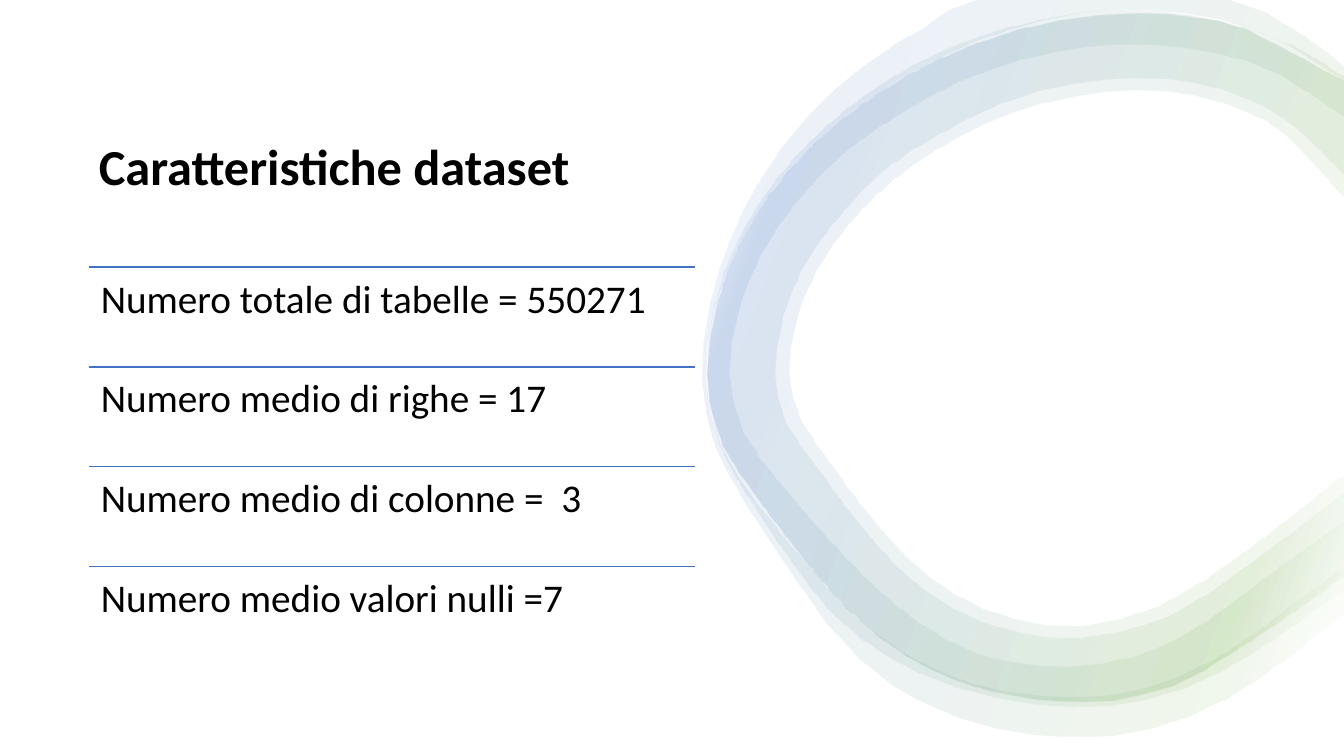
from dataclasses import dataclass

from lxml.etree import SubElement
from pptx import Presentation
from pptx.dml.color import RGBColor
from pptx.enum.shapes import MSO_CONNECTOR
from pptx.enum.text import MSO_ANCHOR, PP_ALIGN
from pptx.oxml import parse_xml
from pptx.oxml.ns import nsdecls, qn
from pptx.util import Inches, Pt


@dataclass(frozen=True)
class Theme:
    font: str = "Calibri"
    title_size: Pt = Pt(36)
    item_size: Pt = Pt(28)
    text: RGBColor = RGBColor(0x00, 0x00, 0x00)
    paper: RGBColor = RGBColor(0xFF, 0xFF, 0xFF)
    rule: RGBColor = RGBColor(0x44, 0x72, 0xC4)
    ring_stops: tuple = ((2, "FFFFFF"), (16, "70AD47"), (85, "4472C4"), (100, "FFFFFF"))
    ring_alpha: int = 10
    ring_angle: int = 200


theme = Theme()


def smooth(points, steps=2):
    """Catmull-Rom curve through the points, kept on the slide, in EMU."""
    padded = [points[0], *points, points[-1]]
    curve = []
    for a, b, c, d in zip(padded, padded[1:], padded[2:], padded[3:]):
        for t in (i / steps for i in range(steps)):
            x, y = (
                q + t * (r - p + t * (2 * p - 5 * q + 4 * r - s + t * (3 * (q - r) + s - p))) / 2
                for p, q, r, s in zip(a, b, c, d)
            )
            curve.append((Inches(x), Inches(max(y, 0))))
    return curve + [tuple(Inches(v) for v in points[-1])]


def style(p, size, bold=False):
    p.alignment = PP_ALIGN.LEFT
    p.line_spacing = 0.9
    p.font.name, p.font.size, p.font.bold = theme.font, size, bold
    p.font.color.rgb = theme.text


prs = Presentation()
prs.slide_width, prs.slide_height = Inches(13.33), Inches(7.5)
s = prs.slides.add_slide(prs.slide_layouts[5])
s.background.fill.solid()
s.background.fill.fore_color.rgb = theme.paper

# Title
title = s.shapes.title
title.left, title.top, title.width, title.height = map(Inches, (0.88, 0.88, 5.44, 1.59))
tf = title.text_frame
tf.text = "Caratteristiche dataset"
tf.vertical_anchor = MSO_ANCHOR.MIDDLE
style(tf.paragraphs[0], theme.title_size, bold=True)

# Ring edges, each from the upper right, round the left, to the lower right
wide_outer = [
    (13.33, 0.67), (12.85, 0.31), (12.17, 0), (11, 0), (9.71, 0), (9.19, 0.26),
    (8.56, 0.66), (8.01, 1.16), (7.57, 1.74), (7.24, 2.38), (7.04, 3.05), (6.97, 3.75),
    (7.1, 4.44), (7.44, 5.06), (7.83, 5.65), (8.25, 6.24), (8.8, 6.76), (9.49, 7.11),
    (10.25, 7.28), (11.03, 7.29), (11.8, 7.1), (12.48, 6.73), (13.06, 6.29), (13.33, 6.08),
]
wide_inner = [
    (13.33, 0.83), (12.76, 0.45), (12.1, 0.2), (11.39, 0.11), (10.69, 0.14), (10.01, 0.3),
    (9.36, 0.56), (8.75, 0.9), (8.19, 1.33), (7.71, 1.83), (7.34, 2.42), (7.09, 3.06),
    (7.01, 3.75), (7.15, 4.42), (7.53, 5.01), (7.98, 5.56), (8.45, 6.08), (9, 6.49),
    (9.62, 6.77), (10.29, 6.89), (10.98, 6.89), (11.63, 6.73), (12.24, 6.41),
    (12.81, 5.99), (13.33, 5.61),
]
middle_outer = [
    (13.33, 0.77), (12.83, 0.46), (12.15, 0.22), (11.43, 0.11), (10.71, 0.13), (10, 0.27),
    (9.33, 0.51), (8.71, 0.85), (8.16, 1.28), (7.68, 1.8), (7.32, 2.38), (7.09, 3.02),
    (7.02, 3.7), (7.13, 4.39), (7.47, 5), (7.84, 5.55), (8.27, 6.1), (8.85, 6.54),
    (9.53, 6.83), (10.25, 6.98), (10.99, 7), (11.73, 6.83), (12.38, 6.5),
    (12.95, 6.11), (13.33, 5.83),
]
middle_inner = [
    (13.33, 1.17), (12.68, 0.74), (12.07, 0.53), (11.41, 0.45), (10.75, 0.47), (10.11, 0.6),
    (9.49, 0.82), (8.91, 1.14), (8.38, 1.51), (7.93, 1.97), (7.57, 2.49), (7.33, 3.08),
    (7.24, 3.7), (7.38, 4.29), (7.75, 4.8), (8.19, 5.31), (8.63, 5.77), (9.11, 6.17),
    (9.67, 6.47), (10.29, 6.6), (10.93, 6.58), (11.53, 6.4), (12.07, 6.08),
    (12.6, 5.68), (13.33, 5.16),
]
core_outer = [
    (13.33, 0.82), (12.36, 0.3), (11.84, 0.18), (11.27, 0.14), (10.48, 0.21), (9.72, 0.42),
    (9, 0.75), (8.35, 1.19), (7.81, 1.71), (7.39, 2.32), (7.12, 2.99), (7.02, 3.71),
    (7.1, 4.21), (7.29, 4.62), (7.87, 5.41), (8.42, 6.05), (9.05, 6.54), (9.81, 6.85),
    (10.71, 6.96), (11.33, 6.88), (11.87, 6.68), (12.86, 6.04), (13.33, 5.69),
]
core_inner = [
    (13.33, 1.75), (12.83, 1.26), (12.39, 1), (11.86, 0.83), (11.27, 0.78), (10.61, 0.84),
    (9.96, 1.02), (9.36, 1.31), (8.79, 1.67), (8.35, 2.12), (7.99, 2.61), (7.77, 3.15),
    (7.69, 3.71), (7.81, 4.21), (8.18, 4.73), (8.42, 5.06), (8.91, 5.63), (9.44, 6.02),
    (10.03, 6.25), (10.71, 6.32), (11.58, 6.11), (12.45, 5.54), (13.33, 4.87),
]
soft_inner = [
    (13.33, 1.98), (12.75, 1.35), (12.34, 1.11), (11.83, 0.95), (11.27, 0.9), (10.65, 0.96),
    (10.01, 1.13), (9.42, 1.41), (8.88, 1.77), (8.45, 2.19), (8.11, 2.67), (7.9, 3.18),
    (7.83, 3.71), (7.95, 4.17), (8.29, 4.66), (8.53, 4.99), (8.98, 5.51), (9.47, 5.89),
    (10.05, 6.13), (10.71, 6.2), (11.5, 6), (12.36, 5.45), (13.33, 4.69),
]

# Translucent ring bands
stops = "".join(
    f'<a:gs pos="{pos * 1000}"><a:srgbClr val="{color}">'
    f'<a:alpha val="{theme.ring_alpha * 1000}"/></a:srgbClr></a:gs>'
    for pos, color in theme.ring_stops
)
gradient = (
    f'<a:gradFill {nsdecls("a")} rotWithShape="1"><a:gsLst>{stops}</a:gsLst>'
    f'<a:lin ang="{theme.ring_angle * 60000}" scaled="0"/></a:gradFill>'
)
for outer, inner in (
    (wide_outer, wide_inner),
    (middle_outer, middle_inner),
    (core_outer, core_inner),
    (core_outer, soft_inner),
):
    outline = smooth(outer) + smooth(inner)[::-1]
    builder = s.shapes.build_freeform(*outline[0])
    builder.add_line_segments(outline[1:], close=True)
    band = builder.convert_to_shape()
    band.shadow.inherit = False
    band.line.fill.background()
    band._element.spPr.find(qn("a:custGeom")).addnext(parse_xml(gradient))

# Ruled list of dataset figures
items = (
    "Numero totale di tabelle = 550271",
    "Numero medio di righe = 17",
    "Numero medio di colonne =  3",
    "Numero medio valori nulli =7",
)
left, width, row_height = Inches(0.88), Inches(6.01), Inches(0.99)
for row, item in enumerate(items):
    top = Inches(2.65) + row * row_height
    rule = s.shapes.add_connector(MSO_CONNECTOR.STRAIGHT, left, top, left + width, top)
    rule.line.color.rgb = theme.rule
    rule.line.width = Pt(1)
    SubElement(rule._element.spPr, qn("a:effectLst"))

    tf = s.shapes.add_textbox(left, top, width, row_height).text_frame
    tf.word_wrap = True
    tf.margin_left = tf.margin_right = tf.margin_top = tf.margin_bottom = Inches(0.12)
    tf.text = item
    style(tf.paragraphs[0], theme.item_size)

prs.save("out.pptx")
